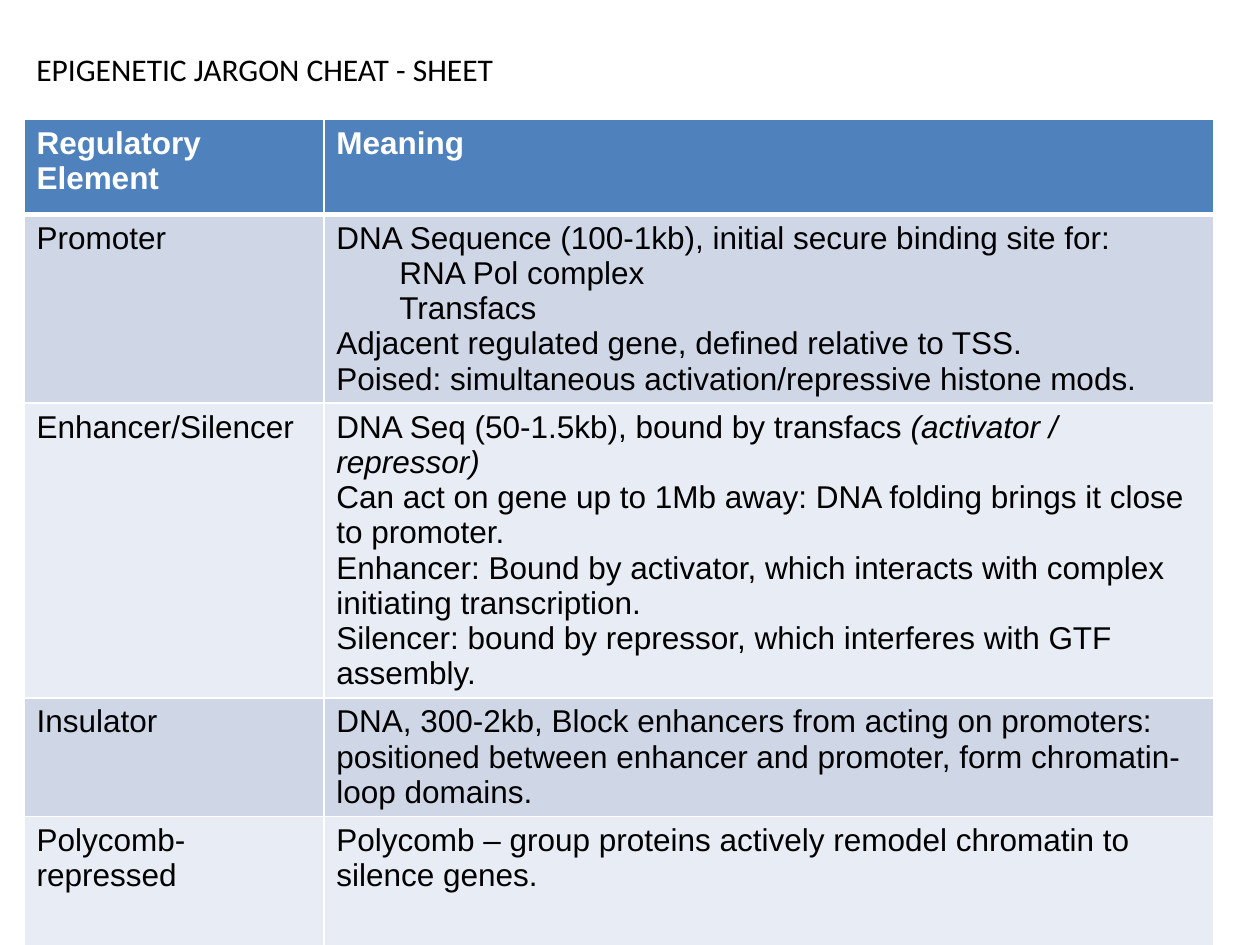
from lxml import etree
from pptx import Presentation
from pptx.dml.color import RGBColor
from pptx.oxml.ns import qn
from pptx.util import Inches, Pt

# Content: a cell is a list of paragraphs, each (level, [(words, italic), ...])
TITLE = "EPIGENETIC JARGON CHEAT - SHEET"


def plain(words, level=0):
    return level, [(words, False)]


ROWS = [
    ([plain("Regulatory Element")], [plain("Meaning")]),
    ([plain("Promoter")], [
        plain("DNA Sequence (100-1kb), initial secure binding site for:"),
        plain("RNA Pol complex", level=1),
        plain("Transfacs", level=1),
        plain("Adjacent regulated gene, defined relative to TSS."),
        plain("Poised: simultaneous activation/repressive histone mods."),
    ]),
    ([plain("Enhancer/Silencer")], [
        (0, [("DNA Seq (50-1.5kb), bound by transfacs ", False),
             ("(activator / repressor)", True)]),
        plain("Can act on gene up to 1Mb away: DNA folding brings it close to promoter."),
        plain("Enhancer: Bound by activator, which interacts with complex "
              "initiating transcription."),
        plain("Silencer: bound by repressor, which interferes with GTF assembly."),
    ]),
    ([plain("Insulator")], [
        plain("DNA, 300-2kb, Block enhancers from acting on promoters: positioned "
              "between enhancer and promoter, form chromatin-loop domains."),
    ]),
    ([plain("Polycomb-repressed")], [
        plain("Polycomb – group proteins actively remodel chromatin to silence genes."),
    ]),
]

# Layout in inches
LEFT, TITLE_TOP, TABLE_TOP = 0.19, 0.35, 0.95
COLUMNS = [2.38, 7.06]
HEIGHTS = [0.75, 1.41, 0.75, 0.62, 1.3]
INDENT = 0.5

BLACK = RGBColor(0x00, 0x00, 0x00)
WHITE = RGBColor(0xFF, 0xFF, 0xFF)
HEADER = RGBColor(0x4F, 0x81, 0xBD)
BANDS = [RGBColor(0xE8, 0xEC, 0xF4), RGBColor(0xCF, 0xD7, 0xE7)]


def write(frame, paragraphs, font="Arial", size=18, color=BLACK, bold=False):
    frame.word_wrap = True
    for index, (level, spans) in enumerate(paragraphs):
        para = frame.add_paragraph() if index else frame.paragraphs[0]
        if level:
            para.level = level
            properties = para._p.get_or_add_pPr()
            properties.set("marL", str(Inches(INDENT * level)))
            properties.set("indent", "0")
        for words, italic in spans:
            span = para.add_run()
            span.text = words
            span.font.name, span.font.size = font, Pt(size)
            span.font.bold, span.font.italic = bold, italic
            span.font.color.rgb = color


def set_borders(cell, top=1, bottom=1):
    properties = cell._tc.get_or_add_tcPr()
    widths = [("lnL", 1), ("lnR", 1), ("lnT", top), ("lnB", bottom)]
    for position, (side, width) in enumerate(widths):
        line = etree.Element(qn("a:" + side), w=str(Pt(width)))
        fill = etree.SubElement(line, qn("a:solidFill"))
        etree.SubElement(fill, qn("a:srgbClr"), val=str(WHITE))
        properties.insert(position, line)


deck = Presentation()
deck.slide_width, deck.slide_height = Inches(10), Inches(7.5)
page = deck.slides.add_slide(deck.slide_layouts[6])

# Glossary table
table = page.shapes.add_table(
    len(ROWS), len(COLUMNS), Inches(LEFT), Inches(TABLE_TOP),
    Inches(sum(COLUMNS)), Inches(sum(HEIGHTS))).table
for column, width in zip(table.columns, COLUMNS):
    column.width = Inches(width)
for number, (row, height, cells) in enumerate(zip(table.rows, HEIGHTS, ROWS)):
    row.height = Inches(height)
    is_header = number == 0
    for cell, paragraphs in zip(row.cells, cells):
        write(cell.text_frame, paragraphs,
              color=WHITE if is_header else BLACK, bold=is_header)
        cell.fill.solid()
        cell.fill.fore_color.rgb = HEADER if is_header else BANDS[number % 2]
        set_borders(cell, top=3 if number == 1 else 1, bottom=3 if is_header else 1)

# Title
box = page.shapes.add_textbox(Inches(LEFT), Inches(TITLE_TOP), Inches(3.86), Inches(0.4))
write(box.text_frame, [plain(TITLE)], font="Calibri")

deck.save("out.pptx")
